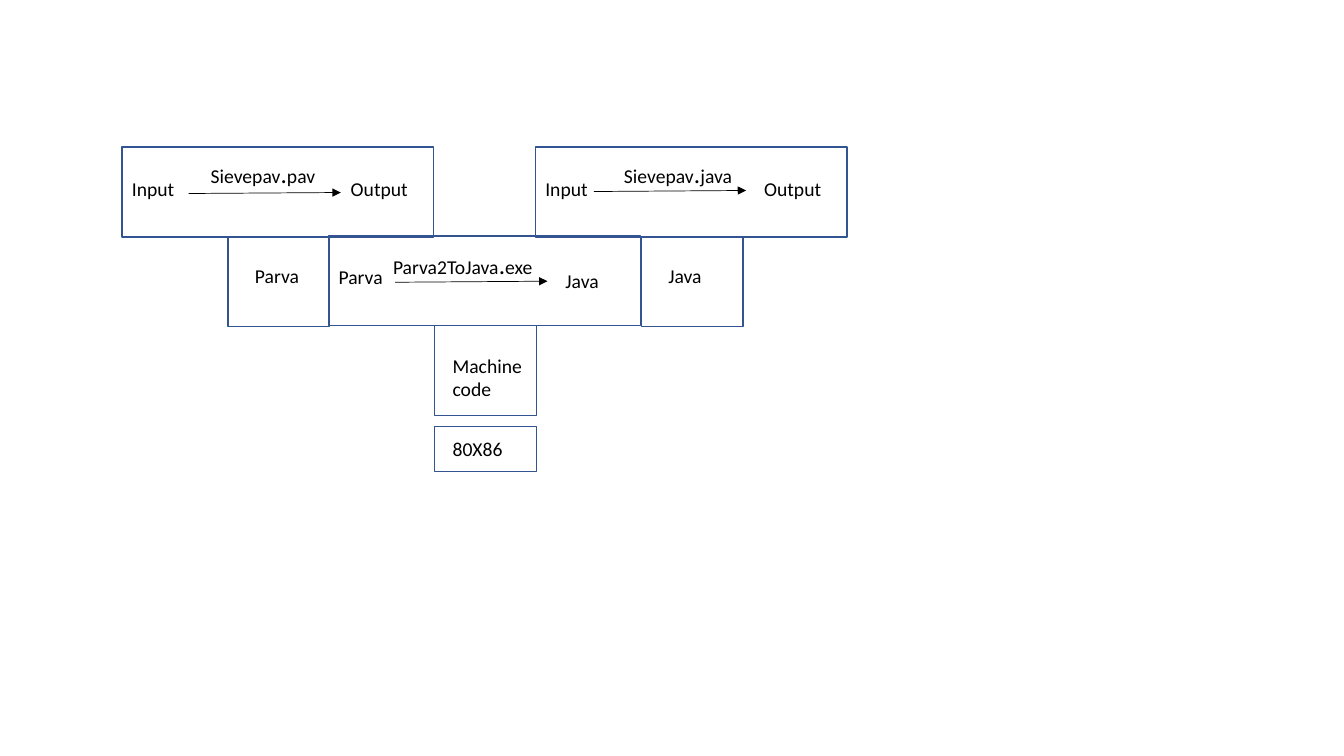
import pptx
import pptx.util
import pptx.dml.color
import pptx.enum.shapes
import pptx.enum.text
import pptx.oxml.ns
import lxml.etree

Inches = pptx.util.Inches
Pt = pptx.util.Pt
BLUE = pptx.dml.color.RGBColor(0x32, 0x54, 0x91)
BLACK = pptx.dml.color.RGBColor(0, 0, 0)

BAR_WIDTH, STEM_WIDTH, HEIGHT = 3.09, 1.01, 0.89
STEM_OFFSET = 1.05

deck = pptx.Presentation()
deck.slide_width = Inches(13.33)
deck.slide_height = Inches(7.5)
page = deck.slides.add_slide(deck.slide_layouts[6])


def add_box(left, top, width, height):
    box = page.shapes.add_shape(
        pptx.enum.shapes.MSO_SHAPE.FLOWCHART_PROCESS,
        Inches(left), Inches(top), Inches(width), Inches(height))
    box.shadow.inherit = False
    box.fill.background()
    box.line.color.rgb = BLUE
    box.line.width = Pt(1)


def add_label(text, left, top, width, height=0.34):
    label = page.shapes.add_textbox(
        Inches(left), Inches(top), Inches(width), Inches(height))
    frame = label.text_frame
    frame.word_wrap = True
    frame.auto_size = pptx.enum.text.MSO_AUTO_SIZE.SHAPE_TO_FIT_TEXT
    para = frame.paragraphs[0]
    para.font.name = "Calibri"
    para.font.size = Pt(14)
    para.font.color.rgb = BLACK
    # The dot of a file name is larger than the rest
    for part in text.partition("."):
        if part:
            span = para.add_run()
            span.text = part
            span.font.size = Pt(18 if part == "." else 14)


# T-diagrams: bar corner, then labels and arrow start as offsets from it
# Label: text, left, top, width, height
diagrams = [
    (1.21, 1.46, (0.66, 0.46), [
        ("Input", 0, 0.25, 0.83, 0.34),
        ("Output", 2.17, 0.25, 1.01, 0.34),
        ("Sievepav.pav", 0.78, 0.06, 1.55, 0.4),
        ("Parva", 1.22, 1.11, 0.83, 0.34)]),
    (3.26, 2.34, (0.66, 0.46), [
        ("Parva", 0, 0.24, 0.83, 0.34),
        ("Java", 2.25, 0.28, 1.01, 0.34),
        ("Parva2ToJava.exe", 0.54, 0.08, 1.63, 0.4),
        ("Machine code", 1.13, 1.12, 0.92, 0.57)]),
    (5.31, 1.46, (0.58, 0.44), [
        ("Input", 0, 0.25, 0.83, 0.34),
        ("Output", 2.17, 0.25, 1.01, 0.34),
        ("Sievepav.java", 0.78, 0.06, 1.55, 0.4),
        ("Java", 1.22, 1.11, 0.83, 0.34)]),
]
for left, top, (arrow_x, arrow_y), labels in diagrams:
    add_box(left, top, BAR_WIDTH, HEIGHT)
    add_box(left + STEM_OFFSET, top + HEIGHT, STEM_WIDTH, HEIGHT)
    for text, x, y, width, height in labels:
        add_label(text, left + x, top + y, width, height)

    # Arrow from source to target, rising slightly
    start_x, start_y = left + arrow_x, top + arrow_y
    arrow = page.shapes.add_connector(
        pptx.enum.shapes.MSO_CONNECTOR.STRAIGHT,
        Inches(start_x), Inches(start_y),
        Inches(start_x + 1.51), Inches(start_y - 0.01))
    arrow.line.color.rgb = BLACK
    arrow.line.width = Pt(0.5)
    qn = pptx.oxml.ns.qn
    lxml.etree.SubElement(arrow.line._get_or_add_ln(), qn("a:tailEnd"), type="triangle")
    lxml.etree.SubElement(arrow._element.spPr, qn("a:effectLst"))

# Machine under the compiler
add_box(4.31, 4.23, STEM_WIDTH, 0.45)
add_label("80X86", 4.39, 4.29, 0.92)

deck.save("out.pptx")
